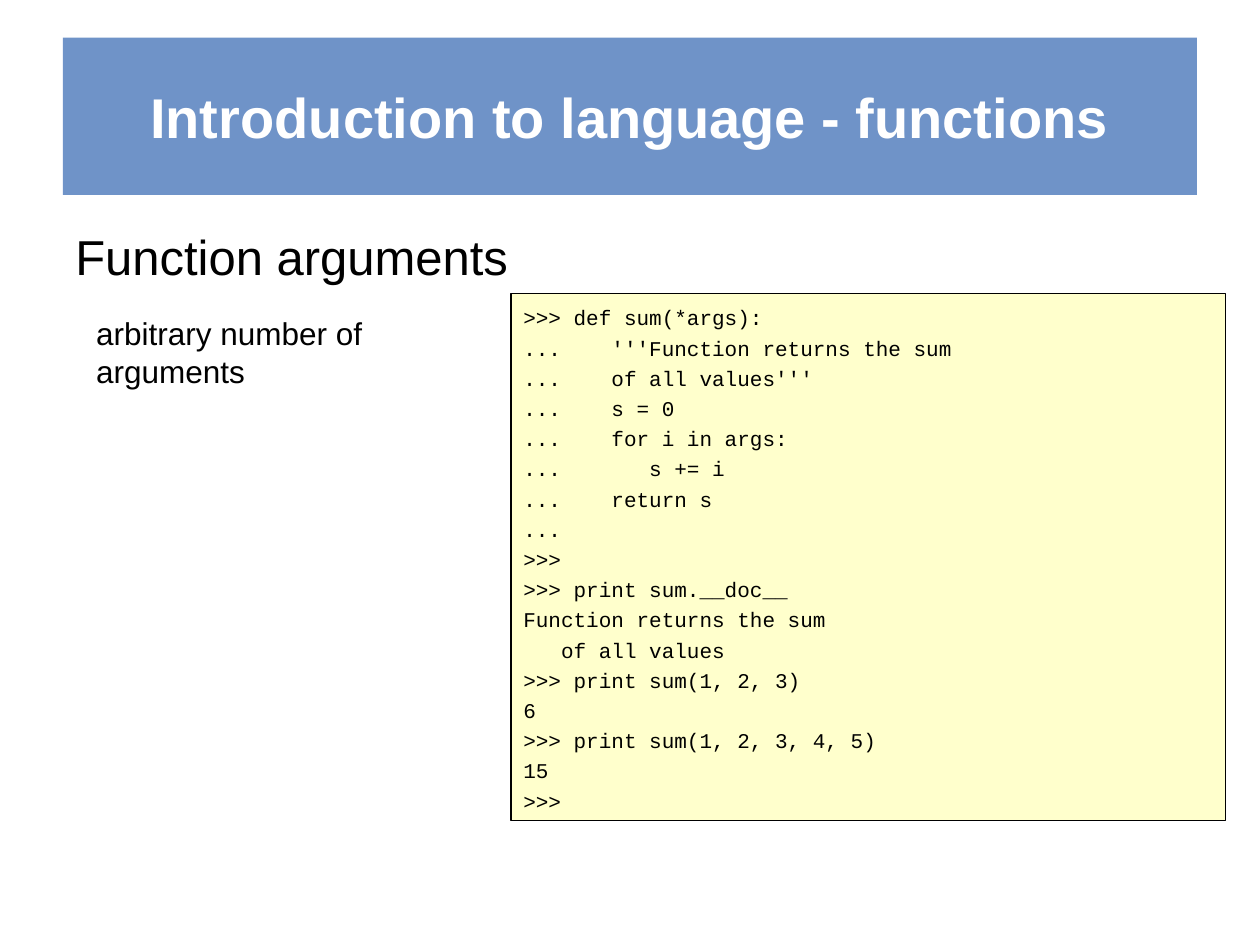
from lxml import etree
from pptx import Presentation
from pptx.dml.color import RGBColor
from pptx.enum.shapes import MSO_SHAPE
from pptx.enum.text import MSO_ANCHOR, PP_ALIGN
from pptx.oxml.ns import qn
from pptx.util import Cm, Pt

# Content
TITLE = "Introduction to language - functions"
HEADING = "Function arguments"
NOTE = "arbitrary number of arguments"
CODE_LINES = [
    ">>> def sum(*args):",
    "...    '''Function returns the sum",
    "...    of all values'''",
    "...    s = 0",
    "...    for i in args:",
    "...       s += i",
    "...    return s",
    "...",
    ">>>",
    ">>> print sum.__doc__",
    "Function returns the sum",
    "   of all values",
    ">>> print sum(1, 2, 3)",
    "6",
    ">>> print sum(1, 2, 3, 4, 5)",
    "15",
    ">>>",
]

COLORS = {"banner": "4775B9", "code": "FFFFCC", "black": "000000", "white": "FFFFFF"}
BANNER_OPACITY = 78

# Left, top, width, height in centimetres
MARGIN, FULL_WIDTH = 1.27, 22.86
BANNER_BOX = (MARGIN, 0.76, FULL_WIDTH, 3.17)
HEADING_BOX = (MARGIN, 4.45, FULL_WIDTH, 1.27)
NOTE_BOX = (1.69, 6.2, 7.21, 1.27)
CODE_BOX = (10.3, 5.92, 14.4, 10.62)


def color(name):
    return RGBColor.from_string(COLORS[name])


def write_text(shape, *lines, size, font="Arial", text_color="black", bold=False,
               align=PP_ALIGN.LEFT, anchor=MSO_ANCHOR.TOP, before=0, spacing=1.0):
    frame = shape.text_frame
    frame.word_wrap = True
    frame.vertical_anchor = anchor
    for index, line in enumerate(lines):
        paragraph = frame.add_paragraph() if index else frame.paragraphs[0]
        paragraph.alignment = align
        paragraph.space_before = Pt(before)
        paragraph.line_spacing = spacing
        run = paragraph.add_run()
        run.text = line
        run.font.name = font
        run.font.size = Pt(size)
        run.font.bold = bold
        run.font.color.rgb = color(text_color)


def add_panel(slide, box, fill):
    shape = slide.shapes.add_shape(MSO_SHAPE.RECTANGLE, *map(Cm, box))
    shape.shadow.inherit = False
    shape.fill.solid()
    shape.fill.fore_color.rgb = color(fill)
    return shape


def main():
    presentation = Presentation()
    presentation.slide_width, presentation.slide_height = Cm(25.4), Cm(19.05)
    slide = presentation.slides.add_slide(presentation.slide_layouts[6])

    # Translucent title banner
    banner = add_panel(slide, BANNER_BOX, "banner")
    banner.line.fill.background()
    fill_color = banner.fill._xPr.find(qn("a:solidFill"))[0]
    etree.SubElement(fill_color, qn("a:alpha"), val=str(BANNER_OPACITY * 1000))
    write_text(banner, TITLE, size=32, text_color="white", bold=True,
               align=PP_ALIGN.CENTER, anchor=MSO_ANCHOR.MIDDLE)

    # Interpreter session
    code = add_panel(slide, CODE_BOX, "code")
    code.line.color.rgb = color("black")
    code.line.width = Pt(0.75)
    write_text(code, *CODE_LINES, size=12, font="Courier New", spacing=1.2)

    # Heading and note
    for box, text, size, before in ((HEADING_BOX, HEADING, 28, 7), (NOTE_BOX, NOTE, 18, 4.5)):
        write_text(slide.shapes.add_textbox(*map(Cm, box)), text, size=size, before=before)

    presentation.save("out.pptx")


if __name__ == "__main__":
    main()
